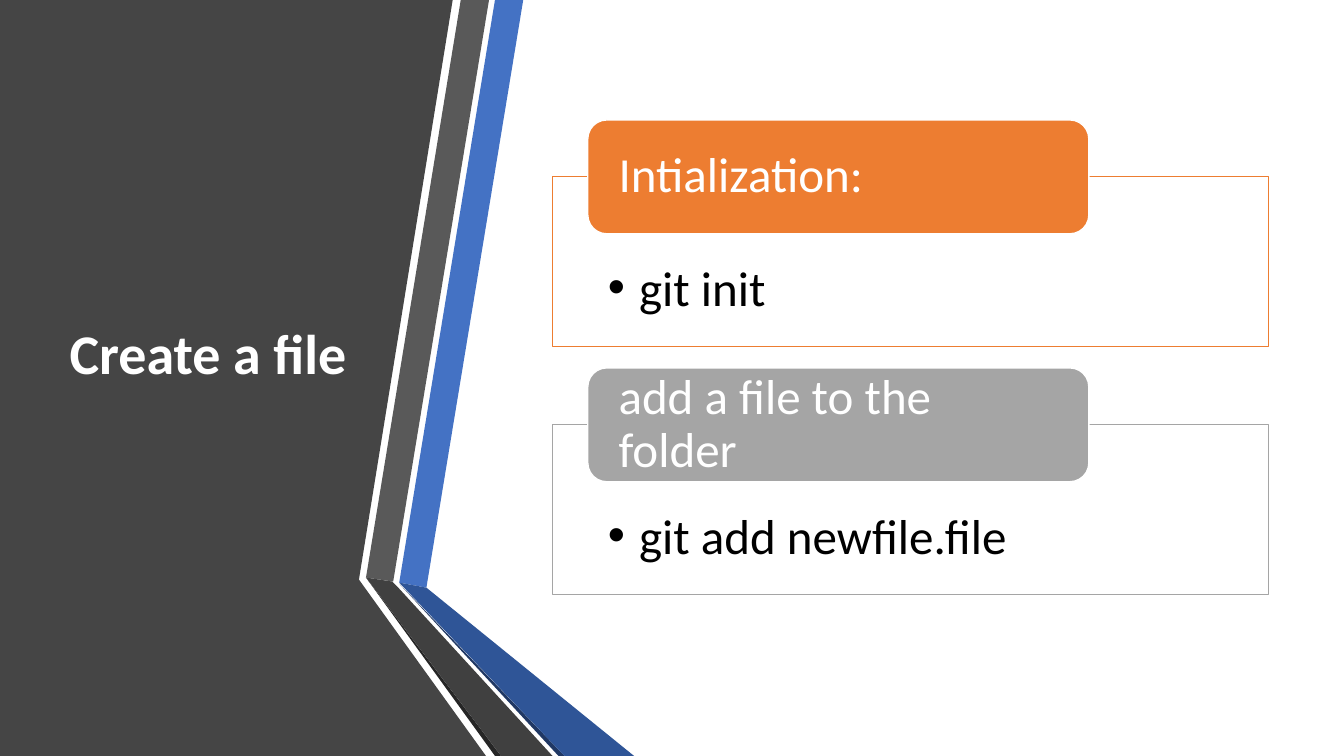
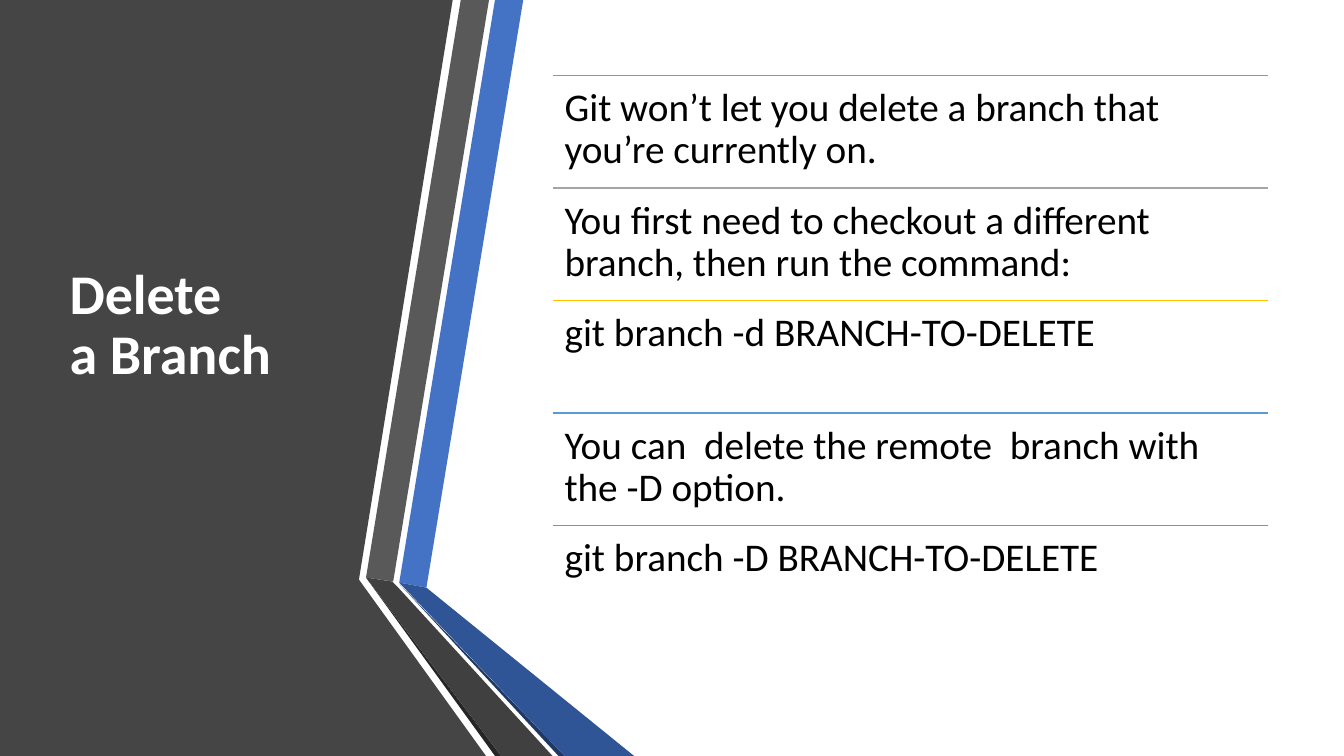
from lxml import etree
from pptx import Presentation
from pptx.dml.color import RGBColor
from pptx.enum.shapes import MSO_CONNECTOR, MSO_SHAPE
from pptx.enum.text import MSO_ANCHOR, MSO_AUTO_SIZE, PP_ALIGN
from pptx.oxml.ns import qn
from pptx.util import Inches, Pt

RECTANGLE = MSO_SHAPE.RECTANGLE
ROUNDED = MSO_SHAPE.ROUNDED_RECTANGLE
STRAIGHT = MSO_CONNECTOR.STRAIGHT
TOP, MIDDLE = MSO_ANCHOR.TOP, MSO_ANCHOR.MIDDLE
LEFT = PP_ALIGN.LEFT
NO_AUTOFIT = MSO_AUTO_SIZE.NONE

TITLE_ONLY = 5
FONT = "Calibri"
COLORS = {
    "white": "FFFFFF", "black": "000000", "panel": "454545",
    "blue": "4472C4", "deep_blue": "2F5597", "navy": "203864",
    "gray": "595959", "dark_gray": "404040", "charcoal": "262626",
    "orange": "ED7D31", "silver": "A5A5A5", "gold": "FFC000",
    "sky": "5B9BD5", "green": "70AD47",
}
BANDS = [
    ("panel", [(0, 0), (4.49, 0), (3.56, 5.75), (4.82, 7.5), (0, 7.5)]),
    ("blue", [(3.96, 5.78), (4.23, 5.83), (5.19, 0), (4.91, 0)]),
    ("gray", [(4.85, 0), (4.57, 0), (3.63, 5.73), (3.9, 5.77)]),
    ("charcoal", [(3.63, 5.73), (4.91, 7.5), (4.97, 7.5)]),
    ("navy", [(3.96, 5.79), (5.54, 7.5), (5.6, 7.5)]),
    ("deep_blue", [(3.96, 5.78), (5.6, 7.5), (6.29, 7.5), (4.23, 5.83)]),
    ("dark_gray", [(5.48, 7.5), (3.95, 5.83), (3.89, 5.77), (3.63, 5.73), (4.97, 7.5)]),
]

CONTENT_LEFT, CONTENT_WIDTH = 5.48, 7.1
CONTENT_TOP, CONTENT_HEIGHT = 0.75, 5.58
TITLE_BOX = (0.59, CONTENT_TOP, 3.04, CONTENT_HEIGHT)
TITLE_FORMAT = {"size": Pt(40), "bold": True}
CARD_FORMAT = {"size": Pt(35), "bold": False}
ROW_FORMAT = {"size": Pt(28), "bold": False}

CARDS = [
    ("Intialization:", "git init", "orange"),
    ("add a file to the folder", "git add newfile.file", "silver"),
]
CARD_TOP, CARD_STEP = 1.19, 2.46
ROWS = [
    ("Git won’t let you delete a branch that you’re currently on.", "orange"),
    ("You first need to checkout a different branch, then run the command:", "silver"),
    ("git branch -d BRANCH-TO-DELETE", "gold"),
    ("You can  delete the remote  branch with the -D option.", "sky"),
    ("git branch -D BRANCH-TO-DELETE", "green"),
]


def rgb(name):
    return RGBColor.from_string(COLORS[name])


def set_attributes(target, values):
    for name, value in values.items():
        setattr(target, name, value)


def inches(values):
    return [Inches(value) for value in values]


def write_text(shape, text, color, font_format, margins, anchor=TOP, line_spacing=0.9):
    frame = shape.text_frame
    frame.text = text
    left, top, right, bottom = inches(margins)
    set_attributes(frame, {
        "word_wrap": True, "auto_size": NO_AUTOFIT, "vertical_anchor": anchor,
        "margin_left": left, "margin_top": top,
        "margin_right": right, "margin_bottom": bottom,
    })
    paragraph = frame.paragraphs[0]
    set_attributes(paragraph, {"alignment": LEFT, "line_spacing": line_spacing})
    for run in paragraph.runs:
        set_attributes(run.font, {"name": FONT, **font_format})
        run.font.color.rgb = rgb(color)
    return paragraph


def add_bullet(paragraph, indent):
    properties = paragraph._p.get_or_add_pPr()
    properties.set("marL", str(Inches(indent)))
    properties.set("indent", str(-Inches(indent)))
    font = etree.SubElement(properties, qn("a:buFont"))
    font.set("typeface", "Arial")
    bullet = etree.SubElement(properties, qn("a:buChar"))
    bullet.set("char", "•")


def paint(shape, fill, line=None):
    shape.shadow.inherit = False
    shape.fill.solid()
    shape.fill.fore_color.rgb = rgb(fill)
    if line:
        shape.line.color.rgb = rgb(line)
        shape.line.width = Pt(1)
    else:
        shape.line.fill.background()


def add_band(slide, color, points):
    start, *rest = [inches(point) for point in points]
    builder = slide.shapes.build_freeform(*start)
    builder.add_line_segments(rest, close=True)
    paint(builder.convert_to_shape(), color)


def add_slide(presentation, title_text, bottom_margin=0.05):
    slide = presentation.slides.add_slide(presentation.slide_layouts[TITLE_ONLY])
    for color, points in BANDS:
        add_band(slide, color, points)
    title = slide.shapes.title
    title.element.getparent().append(title.element)
    set_attributes(title, dict(zip(("left", "top", "width", "height"), inches(TITLE_BOX))))
    write_text(title, title_text, "white", TITLE_FORMAT,
               (0.1, 0.05, 0.1, bottom_margin), MIDDLE)
    return slide


def add_card(slide, top, heading, command, color):
    body = slide.shapes.add_shape(
        RECTANGLE, *inches((CONTENT_LEFT, top + 0.56, CONTENT_WIDTH, 1.69)))
    paint(body, "white", color)
    paragraph = write_text(body, command, "black", CARD_FORMAT,
                           (0.55, 0.8, 0.55, 0.27), line_spacing=1.0)
    add_bullet(paragraph, 0.31)
    label = slide.shapes.add_shape(
        ROUNDED, *inches((CONTENT_LEFT + 0.35, top, 4.97, 1.13)))
    paint(label, color, "white")
    write_text(label, heading, "white", CARD_FORMAT, (0.25, 0, 0.25, 0), MIDDLE)


def add_row(slide, top, height, text, color):
    rule = slide.shapes.add_connector(
        STRAIGHT, *inches((CONTENT_LEFT, top, CONTENT_LEFT + CONTENT_WIDTH, top)))
    rule.line.color.rgb = rgb(color)
    rule.line.width = Pt(1)
    etree.SubElement(rule.element.spPr, qn("a:effectLst"))
    box = slide.shapes.add_textbox(*inches((CONTENT_LEFT, top, CONTENT_WIDTH, height)))
    write_text(box, text, "black", ROW_FORMAT, (0.12,) * 4)


def main():
    presentation = Presentation()
    set_attributes(presentation, {"slide_width": Inches(13.33), "slide_height": Inches(7.5)})

    create_slide = add_slide(presentation, "Create a file")
    for index, card in enumerate(CARDS):
        add_card(create_slide, CARD_TOP + index * CARD_STEP, *card)

    delete_slide = add_slide(presentation, "Delete\va Branch", bottom_margin=0.65)
    row_height = CONTENT_HEIGHT / len(ROWS)
    for index, row in enumerate(ROWS):
        add_row(delete_slide, CONTENT_TOP + index * row_height, row_height, *row)

    presentation.save("out.pptx")


if __name__ == "__main__":
    main()
